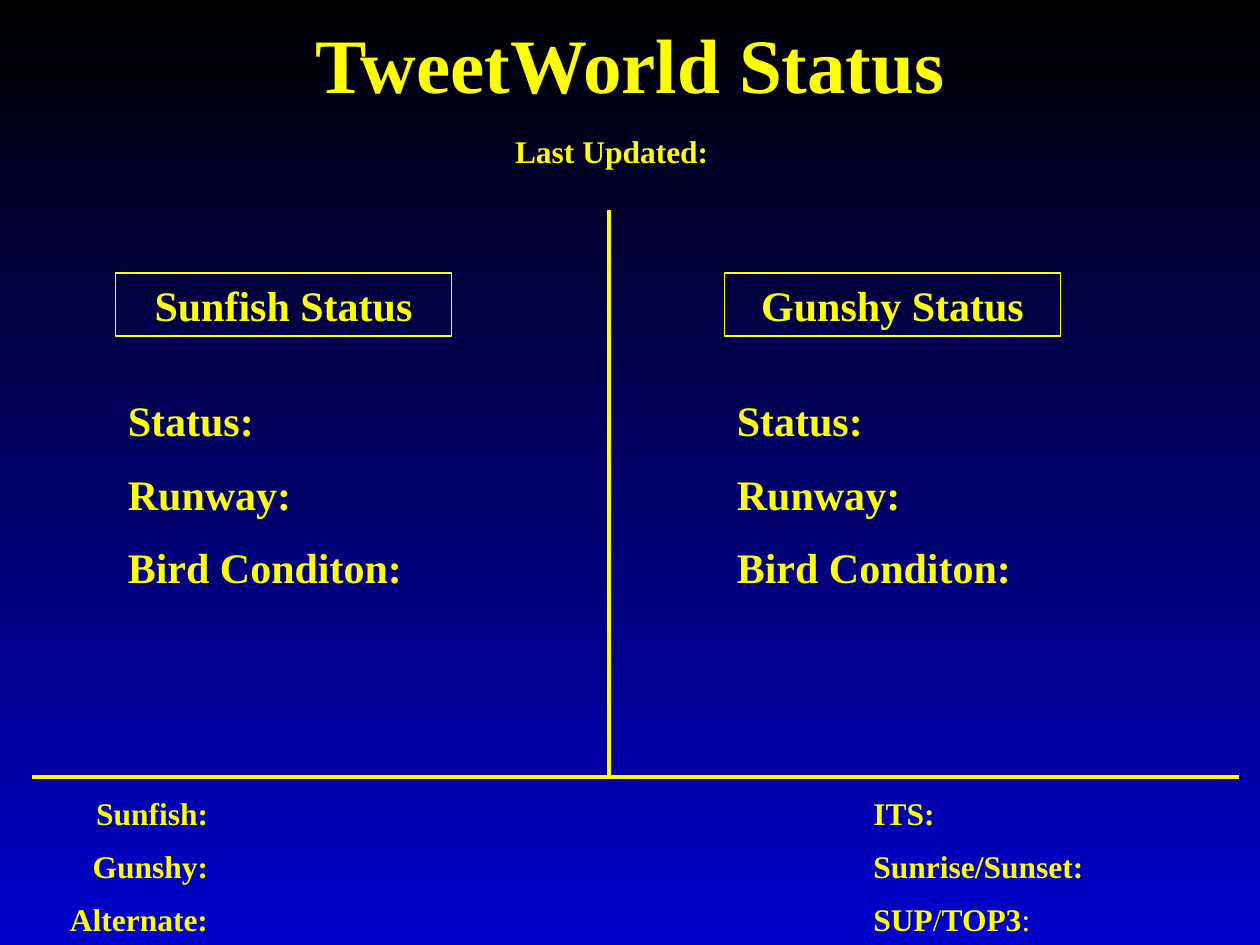
from lxml import etree
from pptx import Presentation
from pptx.dml.color import RGBColor
from pptx.enum.shapes import MSO_CONNECTOR, MSO_SHAPE
from pptx.enum.text import MSO_ANCHOR, MSO_AUTO_SIZE, PP_ALIGN
from pptx.oxml.ns import qn
from pptx.util import Pt

COLORS = {"yellow": "FFFF00", "top": "000000", "bottom": "0000CC"}
YELLOW = RGBColor.from_string(COLORS["yellow"])

presentation = Presentation()
presentation.slide_width, presentation.slide_height = Pt(720), Pt(540)
slide = presentation.slides.add_slide(presentation.slide_layouts[6])

background = slide.background.fill
background.gradient()
background.gradient_angle = 270
for stop, name in zip(background.gradient_stops, ("top", "bottom")):
    stop.color.rgb = RGBColor.from_string(COLORS[name])


def add_label(runs, left, top, width, height, size, align=PP_ALIGN.LEFT, framed=False):
    """Add yellow text given as (text, bold) runs, in a thin frame if framed."""
    box = tuple(Pt(value) for value in (left, top, width, height))
    if framed:
        shape = slide.shapes.add_shape(MSO_SHAPE.RECTANGLE, *box)
        shape.shadow.inherit = False
        shape.fill.background()
        shape.line.color.rgb = YELLOW
        shape.line.width = Pt(0.75)
    else:
        shape = slide.shapes.add_textbox(*box)
    frame = shape.text_frame
    frame.word_wrap = True
    frame.auto_size = MSO_AUTO_SIZE.SHAPE_TO_FIT_TEXT
    frame.vertical_anchor = MSO_ANCHOR.MIDDLE if framed else MSO_ANCHOR.TOP
    paragraph = frame.paragraphs[0]
    paragraph.alignment = align
    paragraph.font.name = "Times New Roman"
    paragraph.font.size = Pt(size)
    paragraph.font.color.rgb = YELLOW
    for text, bold in runs:
        run = paragraph.add_run()
        run.text = text
        run.font.bold = bold
    return shape


def add_rule(x1, y1, x2, y2):
    rule = slide.shapes.add_connector(MSO_CONNECTOR.STRAIGHT, Pt(x1), Pt(y1), Pt(x2), Pt(y2))
    rule.line.color.rgb = YELLOW
    rule.line.width = Pt(2)
    etree.SubElement(rule._element.spPr, qn("a:effectLst"))


# Heading
add_label([("TweetWorld Status", True)], 96, 6, 528, 60, 44, PP_ALIGN.CENTER)
updated = add_label([("Last Updated:", True)], 192, 72, 342, 29, 18, PP_ALIGN.CENTER)
updated.text_frame.margin_right = Pt(34)

# Dividers
add_rule(18, 444, 708, 444)
add_rule(348, 120, 348, 444)

# One column per airfield
for left, airfield in ((66, "Sunfish"), (414, "Gunshy")):
    add_label([(f"{airfield} Status", True)], left, 156, 192, 36, 24, PP_ALIGN.CENTER, framed=True)
    for row, text in enumerate(("Status:", "Runway:", "Bird Conditon:")):
        add_label([(text, True)], left, 222 + 42 * row, 186, 36, 24)

# Footer
footer_rows = (
    ("Sunfish:", [("ITS:", True)], 66),
    ("Gunshy:", [("Sunrise/Sunset:", True)], 150),
    ("Alternate:", [("SUP", True), ("/", False), ("TOP3", True), (":", False)], 108),
)
for row, (airfield, runs, width) in enumerate(footer_rows):
    top = 450 + 30.5 * row
    add_label([(airfield, True)], 30, top, 96, 29, 18, PP_ALIGN.RIGHT)
    add_label(runs, 492, top, width, 29, 18)

presentation.save("out.pptx")
